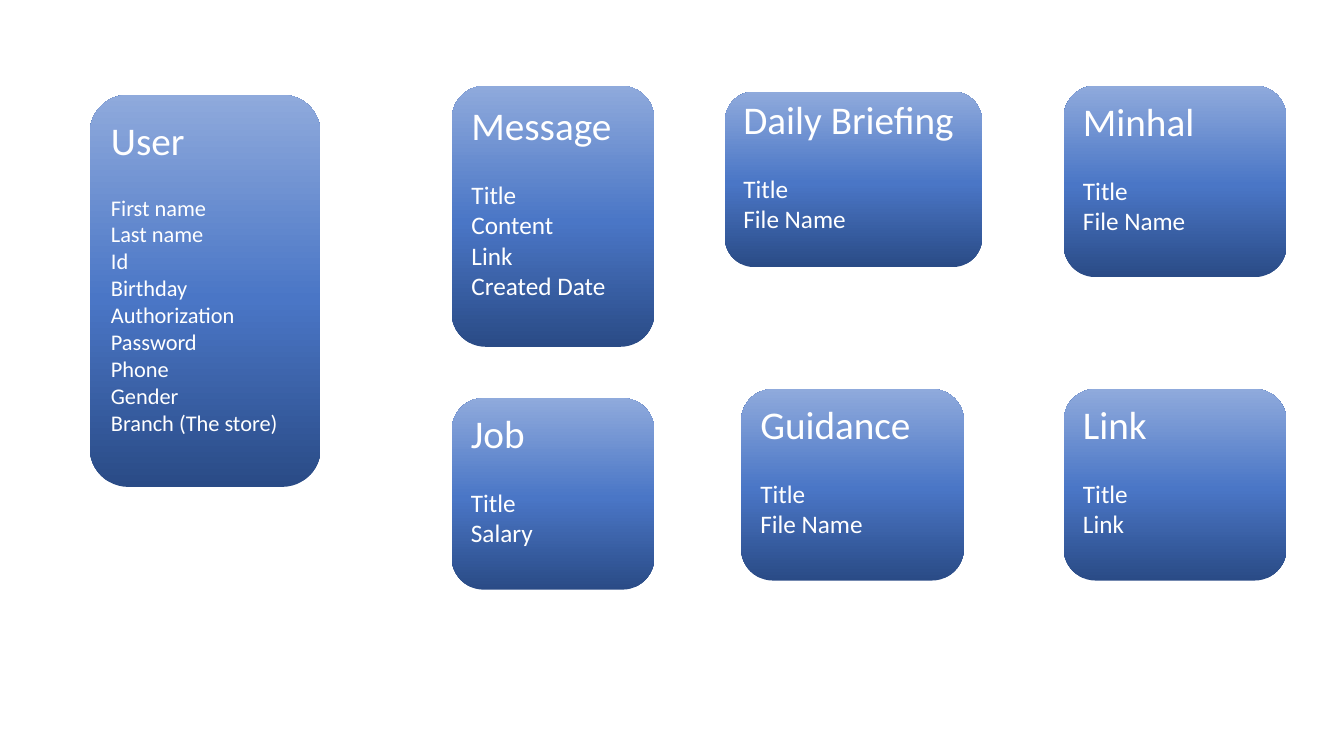
from copy import deepcopy
from dataclasses import dataclass

from pptx import Presentation
from pptx.dml.color import RGBColor
from pptx.enum.shapes import MSO_SHAPE as Preset
from pptx.enum.text import MSO_ANCHOR as Anchor, PP_ALIGN as Align
from pptx.oxml.ns import qn
from pptx.shapes.autoshape import Shape
from pptx.slide import Slide
from pptx.text.text import _Paragraph as Paragraph
from pptx.util import Inches, Pt

WHITE = RGBColor(0xFF, 0xFF, 0xFF)
NAVY = RGBColor(0x2A, 0x4B, 0x86)
BLUE = RGBColor(0x4A, 0x76, 0xC6)
SKY = RGBColor(0x8F, 0xAA, 0xDC)
GRADIENT = ((0, NAVY), (0.48, BLUE), (1, SKY))

FONT = "Calibri"
NAME_SIZE = 28
NAME_GAP = Pt(22)
TOP_INSET = Inches(0)
BOTTOM_INSET = Inches(0.3)


@dataclass(frozen=True)
class Entity:
    name: str
    fields: tuple[str, ...]
    left: float
    top: float
    width: float = 2.21
    height: float = 1.9
    field_size: int = 18


FILE_FIELDS = ("Title", "File Name")
MESSAGE_LEFT, MINHAL_LEFT = 4.48, 10.55
UPPER_TOP, LOWER_TOP = 0.85, 3.86

ENTITIES = (
    Entity(
        "User",
        ("First name", "Last name", "Id", "Birthday", "Authorization",
         "Password", "Phone", "Gender", "Branch (The store)"),
        0.89, 0.94, 2.29, 3.89, field_size=16,
    ),
    Entity("Message", ("Title", "Content", "Link", "Created Date"),
           MESSAGE_LEFT, UPPER_TOP, 2.01, 2.59),
    Entity("Job", ("Title", "Salary"), MESSAGE_LEFT, 3.95, 2.01),
    Entity("Daily Briefing", FILE_FIELDS, 7.19, 0.91, 2.55, 1.74),
    Entity("Guidance", FILE_FIELDS, 7.35, LOWER_TOP),
    Entity("Minhal", FILE_FIELDS, MINHAL_LEFT, UPPER_TOP),
    Entity("Link", ("Title", "Link"), MINHAL_LEFT, LOWER_TOP),
)


def fill_gradient(box: Shape) -> None:
    box.fill.gradient()
    box.fill.gradient_angle = 90
    stop_list = box._element.spPr.find(qn("a:gradFill")).find(qn("a:gsLst"))
    stop_list.append(deepcopy(stop_list[0]))
    for stop, (position, color) in zip(box.fill.gradient_stops, GRADIENT):
        stop.position = position
        stop.color.rgb = color


def write_line(para: Paragraph, text: str, size: int) -> None:
    para.alignment = Align.LEFT
    span = para.add_run()
    span.text = text
    span.font.name = FONT
    span.font.size = Pt(size)
    span.font.color.rgb = WHITE


def draw_entity(page: Slide, entity: Entity) -> None:
    box = page.shapes.add_shape(
        Preset.ROUNDED_RECTANGLE,
        Inches(entity.left), Inches(entity.top),
        Inches(entity.width), Inches(entity.height),
    )
    box.shadow.inherit = False
    box.line.fill.background()
    fill_gradient(box)

    frame = box.text_frame
    frame.word_wrap = True
    frame.vertical_anchor = Anchor.MIDDLE
    frame.margin_top = TOP_INSET
    frame.margin_bottom = BOTTOM_INSET
    heading = frame.paragraphs[0]
    heading.space_after = NAME_GAP
    write_line(heading, entity.name, NAME_SIZE)
    for field in entity.fields:
        write_line(frame.add_paragraph(), field, entity.field_size)


deck = Presentation()
deck.slide_width = Inches(13.33)
deck.slide_height = Inches(7.5)
page = deck.slides.add_slide(deck.slide_layouts[6])
for entity in ENTITIES:
    draw_entity(page, entity)
deck.save("out.pptx")
